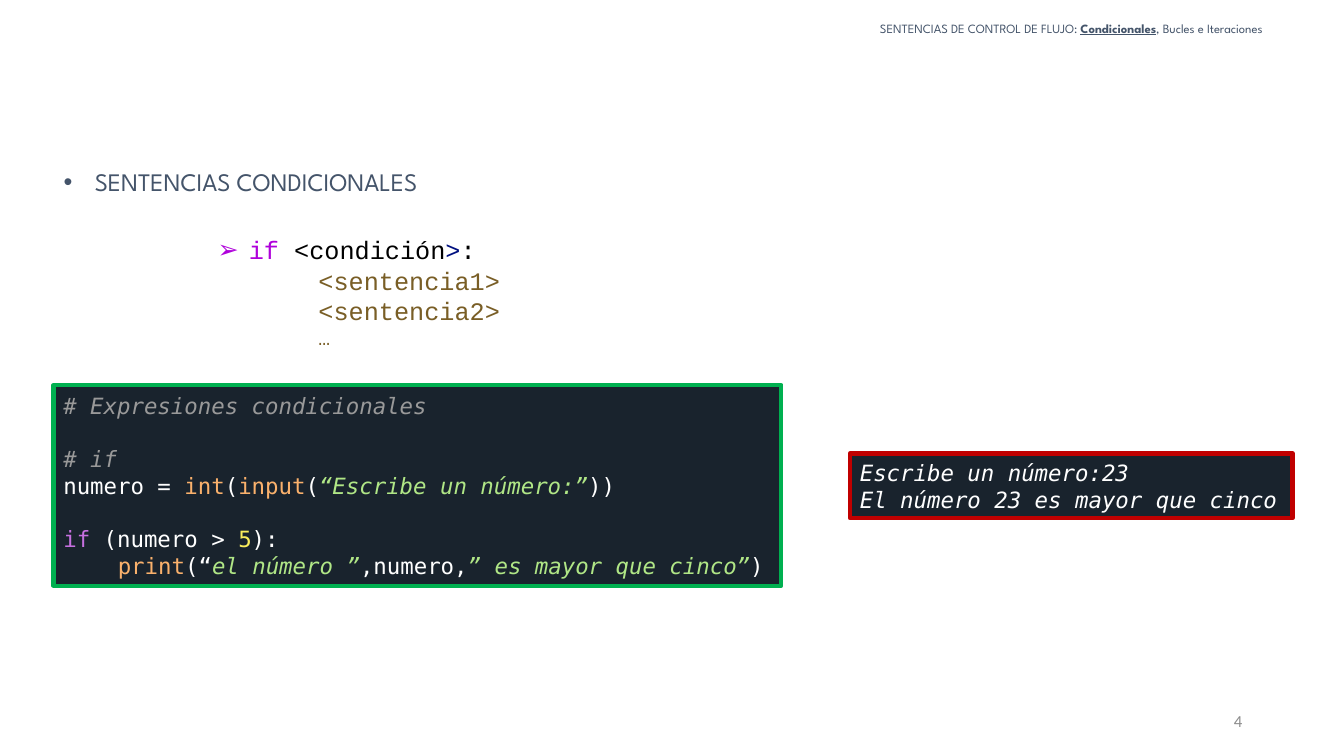
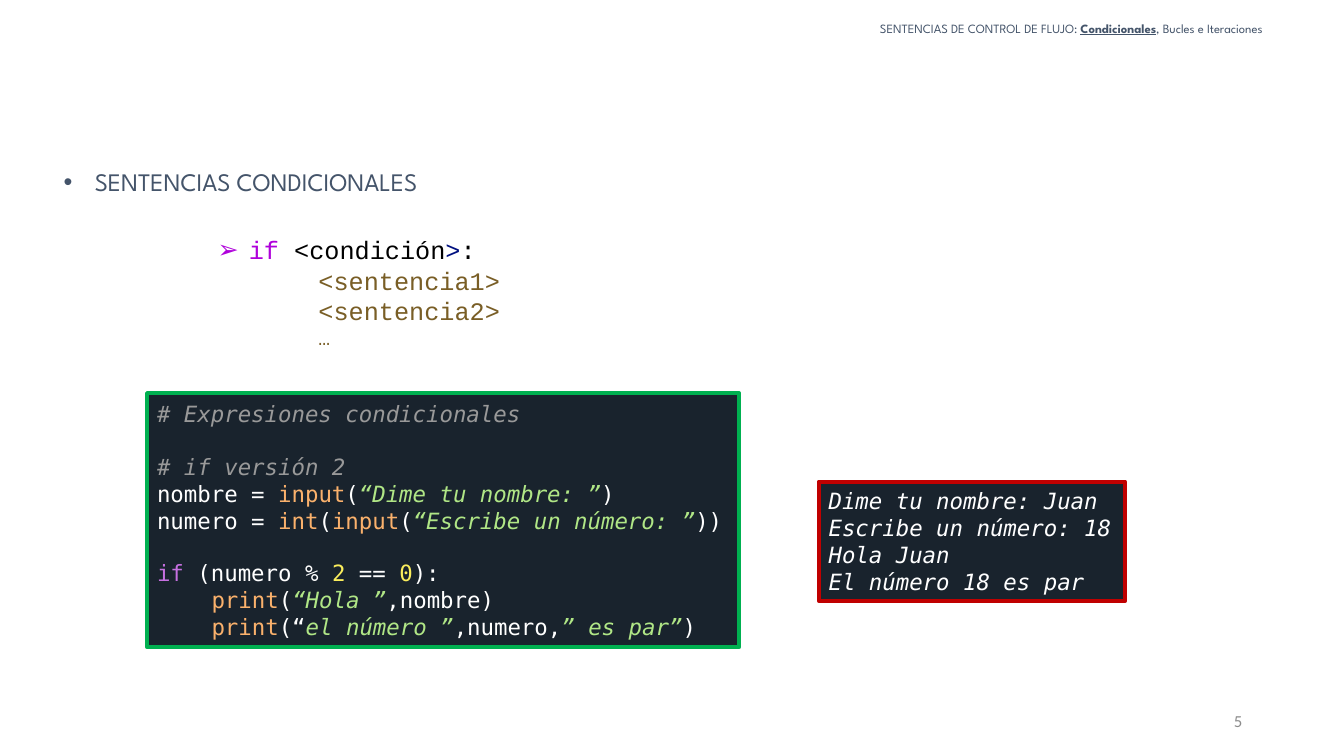
from pptx import Presentation
from pptx.dml.color import RGBColor
from pptx.enum.shapes import MSO_SHAPE
from pptx.enum.text import MSO_ANCHOR, MSO_AUTO_SIZE, PP_ALIGN
from pptx.oxml.ns import qn
from pptx.util import Inches, Pt
from lxml.etree import SubElement

# Colours and fonts
SLATE = RGBColor(0x44, 0x54, 0x6A)
GREY = RGBColor(0x8C, 0x8C, 0x8C)
BLACK = RGBColor(0x00, 0x00, 0x00)
WHITE = RGBColor(0xFF, 0xFF, 0xFF)
PURPLE = RGBColor(0xAF, 0x00, 0xDB)
NAVY = RGBColor(0x00, 0x10, 0x80)
BROWN = RGBColor(0x79, 0x5E, 0x26)
PANEL = RGBColor(0x19, 0x23, 0x2D)
GREEN = RGBColor(0x00, 0xB0, 0x50)
RED = RGBColor(0xC0, 0x00, 0x00)
COMMENT = RGBColor(0x99, 0x99, 0x99)
BUILTIN = RGBColor(0xFA, 0xB1, 0x6C)
STRING = RGBColor(0xB0, 0xE6, 0x86)
KEYWORD = RGBColor(0xC6, 0x70, 0xE0)
NUMBER = RGBColor(0xFA, 0xED, 0x5C)
HEAD_FONT, SYNTAX_FONT, CODE_FONT = "League Spartan", "Courier New", "DejaVu Sans Mono"

# Content shared by the slides
HEADER = [("SENTENCIAS DE CONTROL DE FLUJO: ", {}),
          ("Condicionales", dict(bold=True, underline=True)),
          (", Bucles e Iteraciones", {})]
TOPIC = "SENTENCIAS CONDICIONALES"
SYNTAX_HEAD = [("if", PURPLE), (" <condición", BLACK), (">", NAVY), (":", BLACK)]
SYNTAX_BODY = [("<sentencia1>", 18), ("<sentencia2>", 18), ("…", 14)]

# Content of each slide: a code line is (runs, indented, gap before)
FIRST_NUMBER = 4
SLIDES = [
    dict(
        code_at=(0.53, 3.82, 7.22, 1.99),
        code=[
            ([("# Expresiones condicionales", COMMENT)], False, False),
            ([("# if", COMMENT)], False, True),
            ([("numero = ", WHITE), ("int", BUILTIN), ("(", WHITE), ("input", BUILTIN),
              ("(", WHITE), ("“Escribe un número:”", STRING), ("))", WHITE)], False, False),
            ([("if ", KEYWORD), ("(numero > ", WHITE), ("5", NUMBER), ("):", WHITE)],
             False, True),
            ([("print", BUILTIN), ("(“", WHITE), ("el número ”", STRING),
              (",numero,", WHITE), ("” es mayor que cinco”", STRING), (")", WHITE)],
             True, False),
        ],
        output_at=(8.43, 4.5, 4.39, 0.64),
        output=["Escribe un número:23", "El número 23 es mayor que cinco"],
    ),
    dict(
        code_at=(1.46, 3.9, 5.87, 2.52),
        code=[
            ([("# Expresiones condicionales", COMMENT)], False, False),
            ([("# if versión 2", COMMENT)], False, True),
            ([("nombre = ", WHITE), ("input", BUILTIN), ("(", WHITE),
              ("“Dime tu nombre: ”", STRING), (")", WHITE)], False, False),
            ([("numero = ", WHITE), ("int", BUILTIN), ("(", WHITE), ("input", BUILTIN),
              ("(", WHITE), ("“Escribe un número: ”", STRING), ("))", WHITE)], False, False),
            ([("if ", KEYWORD), ("(numero % ", WHITE), ("2", NUMBER), (" == ", WHITE),
              ("0", NUMBER), ("):", WHITE)], False, True),
            ([("print", BUILTIN), ("(", WHITE), ("“Hola ”", STRING), (",nombre)", WHITE)],
             True, False),
            ([("print", BUILTIN), ("(“", WHITE), ("el número ”", STRING),
              (",numero,", WHITE), ("” es par”", STRING), (")", WHITE)], True, False),
        ],
        output_at=(8.12, 4.78, 3.04, 1.18),
        output=["Dime tu nombre: Juan", "Escribe un número: 18", "Hola Juan",
                "El número 18 es par"],
    ),
]


def box(at):
    return [Inches(v) for v in at]


def place(sp, at):
    sp.left, sp.top, sp.width, sp.height = box(at)
    tf = sp.text_frame
    tf.auto_size = MSO_AUTO_SIZE.NONE
    tf.vertical_anchor = MSO_ANCHOR.TOP
    return tf


def add_run(p, text, font, size, color, bold=False, italic=False, underline=False):
    r = p.add_run()
    r.text = text
    f = r.font
    f.name, f.size, f.bold, f.italic, f.underline = font, Pt(size), bold, italic, underline
    f.color.rgb = color


def add_paragraph(tf, align=PP_ALIGN.LEFT, margin=0, hanging=0, bullet=None, before=0):
    """Return the empty first paragraph, or a new one, with its format set."""
    p = tf.paragraphs[0] if not tf.paragraphs[0].runs else tf.add_paragraph()
    p.alignment = align
    p.space_before = Pt(before)
    pPr = p._p.get_or_add_pPr()
    pPr.set("marL", str(Inches(margin)))
    pPr.set("indent", str(-Inches(hanging)))
    if bullet:
        SubElement(pPr, qn("a:buFont")).set("typeface", "Arial")
        SubElement(pPr, qn("a:buChar")).set("char", bullet)
    return p


def add_panel(s, at, line_color, lines):
    """Dark box with a coloured border and lines of coloured code."""
    sp = s.shapes.add_shape(MSO_SHAPE.RECTANGLE, *box(at))
    sp.shadow.inherit = False
    sp.fill.solid()
    sp.fill.fore_color.rgb = PANEL
    sp.line.color.rgb = line_color
    sp.line.width = Pt(3)
    tf = sp.text_frame
    tf.word_wrap = False
    for runs, indented, gap in lines:
        p = add_paragraph(tf, margin=0.54 if indented else 0, before=18.6 if gap else 0)
        for text, color in runs:
            add_run(p, text, CODE_FONT, 16, color, italic=color in (COMMENT, STRING))
    return tf


def add_common(s, number):
    # Running header and topic
    p = add_paragraph(place(s.shapes.title, (7.97, 0.17, 5.31, 0.28)), PP_ALIGN.CENTER)
    p.line_spacing = 0.9
    for text, style in HEADER:
        add_run(p, text, HEAD_FONT, 9, SLATE, **style)
    tf = place(s.placeholders[1], (0.53, 1.6, 4.41, 0.4))
    p = add_paragraph(tf, margin=0.31, hanging=0.31, bullet="•")
    add_run(p, TOPIC, HEAD_FONT, 18, SLATE)

    # Syntax of the sentence
    tf = s.shapes.add_textbox(*box((0.06, 2.28, 6.67, 1.25))).text_frame
    tf.word_wrap = True
    p = add_paragraph(tf, margin=2.31, hanging=0.31, bullet="➢")
    for text, color in SYNTAX_HEAD:
        add_run(p, text, SYNTAX_FONT, 18, color)
    for text, size in SYNTAX_BODY:
        add_run(add_paragraph(tf, margin=3), text, SYNTAX_FONT, size, BROWN)

    # Slide number
    tf = s.shapes.add_textbox(*box((9.42, 6.95, 3, 0.4))).text_frame
    tf.word_wrap = True
    tf.vertical_anchor = MSO_ANCHOR.MIDDLE
    add_run(add_paragraph(tf, PP_ALIGN.RIGHT), str(number), "Calibri", 12, GREY)


def main():
    prs = Presentation()
    prs.slide_width, prs.slide_height = Inches(13.33), Inches(7.5)
    for number, data in enumerate(SLIDES, FIRST_NUMBER):
        s = prs.slides.add_slide(prs.slide_layouts[1])
        add_common(s, number)
        add_panel(s, data["code_at"], GREEN, data["code"])
        output = [([(text, WHITE)], False, False) for text in data["output"]]
        tf = add_panel(s, data["output_at"], RED, output)
        for p in tf.paragraphs:
            p.runs[0].font.italic = True
    prs.save("out.pptx")


if __name__ == "__main__":
    main()
